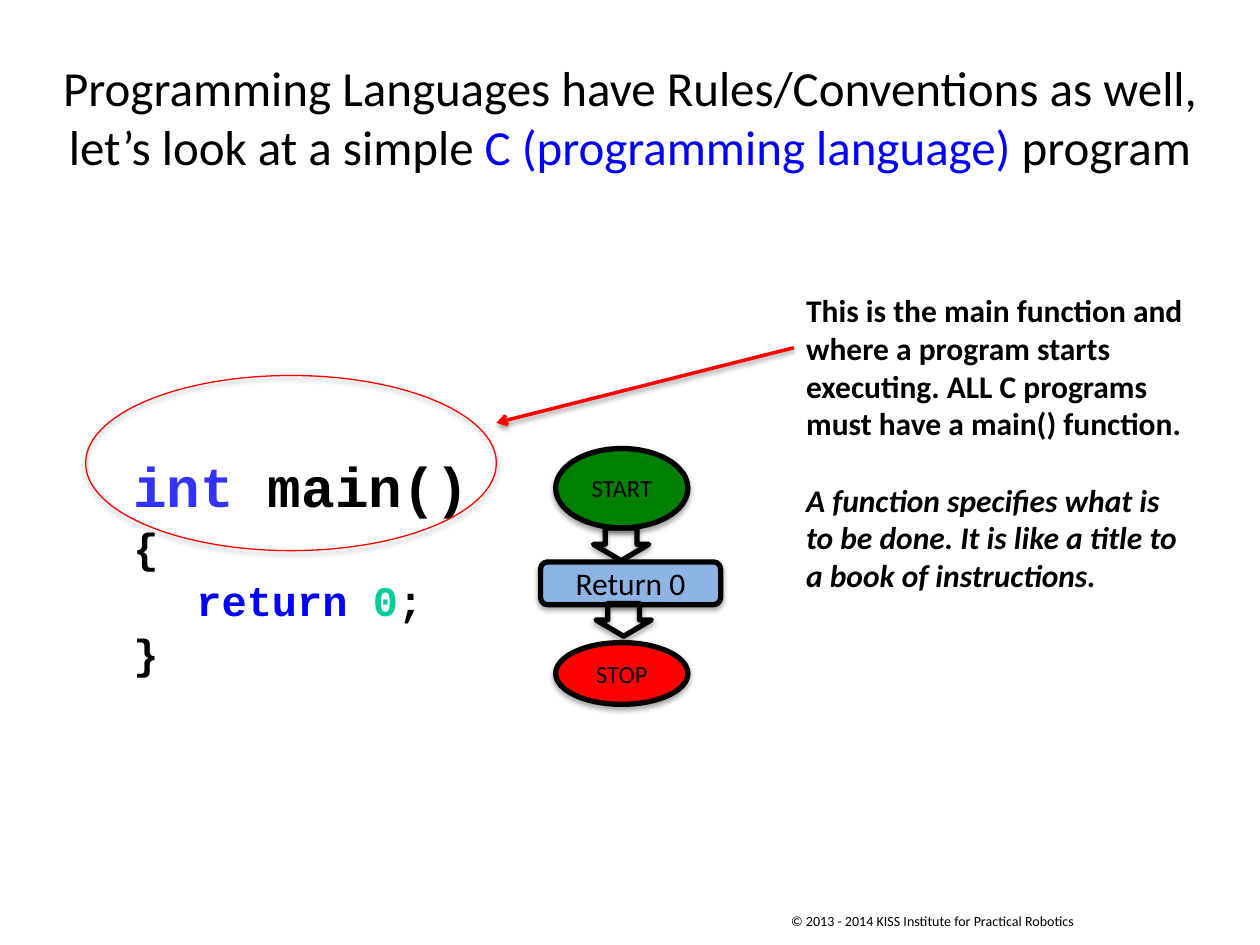
from lxml import etree
from pptx import Presentation
from pptx.dml.color import RGBColor
from pptx.enum.shapes import MSO_CONNECTOR, MSO_SHAPE
from pptx.enum.text import MSO_ANCHOR, PP_ALIGN
from pptx.oxml.ns import qn
from pptx.util import Inches, Pt

OVAL, ROUNDED, DOWN = MSO_SHAPE.OVAL, MSO_SHAPE.ROUNDED_RECTANGLE, MSO_SHAPE.DOWN_ARROW
STRAIGHT = MSO_CONNECTOR.STRAIGHT
MIDDLE, CENTER = MSO_ANCHOR.MIDDLE, PP_ALIGN.CENTER

COLORS = {
    "text": "000000", "language": "0000FF", "type": "3333FF", "number": "00CC99",
    "mark": "FF0000", "start": "008000", "step": "8EB4E3", "stop": "FF0000",
}
COLS, ROWS = 100, 75  # grid of tenths of an inch
CELL = Inches(0.1)


def color(name):
    return RGBColor.from_string(COLORS[name])


def cells(*values):
    return [int(v * CELL) for v in values]


def add_shadow(sp, opacity=35):
    sp_pr = sp._element.spPr
    for old in sp_pr.findall(qn("a:effectLst")):
        sp_pr.remove(old)
    effects = etree.SubElement(sp_pr, qn("a:effectLst"))
    shadow = etree.SubElement(effects, qn("a:outerShdw"), blurRad=str(Pt(3.1)),
                              dist=str(Pt(1.8)), dir="5400000", rotWithShape="0")
    black = etree.SubElement(shadow, qn("a:srgbClr"), val=COLORS["text"])
    etree.SubElement(black, qn("a:alpha"), val=str(opacity * 1000))


def add_text(s, box, wrap=True):
    tf = s.shapes.add_textbox(*cells(*box)).text_frame
    tf.word_wrap = wrap
    return tf


def set_font(p, size, name="Calibri", bold=False, italic=False):
    f = p.font
    f.name, f.size, f.bold, f.italic = name, Pt(size), bold, italic
    f.color.rgb = color("text")


def add_runs(p, runs):
    for text, name in runs:
        r = p.add_run()
        r.text = text
        r.font.color.rgb = color(name)


def add_outlined(s, kind, box, line="text", width=3, fill=None):
    sp = s.shapes.add_shape(kind, *cells(*box))
    if fill:
        sp.fill.solid()
        sp.fill.fore_color.rgb = color(fill)
    else:
        sp.fill.background()
    sp.line.color.rgb = color(line)
    sp.line.width = Pt(width)
    add_shadow(sp)
    return sp


def add_footer(s, box):
    p = add_text(s, box, wrap=False).paragraphs[0]
    p.text = "© 2013 - 2014 KISS Institute for Practical Robotics"
    set_font(p, 8)


def add_title(s, box):
    tf = add_text(s, box)
    tf.vertical_anchor = MIDDLE
    p = tf.paragraphs[0]
    p.alignment = CENTER
    set_font(p, 28)
    add_runs(p, [("Programming Languages have Rules/Conventions as well,", "text")])
    p.add_line_break()
    add_runs(p, [("let’s look at a simple ", "text"),
                 ("C (programming language)", "language"), (" program", "text")])


def add_code(s, box):
    tf = add_text(s, box)
    tf.margin_top = Inches(0.11)
    lines = [
        (32, [("int ", "type"), ("main()", "text")]),
        (24, [("{", "text")]),
        (24, [("\treturn ", "language"), ("0", "number"), (";", "text")]),
        (24, [("}", "text")]),
    ]
    for i, (size, runs) in enumerate(lines):
        p = tf.add_paragraph() if i else tf.paragraphs[0]
        p.line_spacing = 1.05
        tabs = etree.SubElement(p._p.get_or_add_pPr(), qn("a:tabLst"))
        etree.SubElement(tabs, qn("a:tab"), pos=str(Inches(0.5)), algn="l")
        set_font(p, size, "Courier New", bold=True)
        add_runs(p, runs)


def add_highlight(s, box, source):
    """Ring around the box, with an arrow reaching it from the source point."""
    x, y, w, h = box
    add_outlined(s, OVAL, box, line="mark", width=0.75)
    arrow = s.shapes.add_connector(STRAIGHT, *cells(*source, x + w, y + 0.27 * h))
    arrow.line.color.rgb = color("mark")
    arrow.line.width = Pt(2)
    etree.SubElement(arrow.line._get_or_add_ln(), qn("a:tailEnd"), type="arrow")
    add_shadow(arrow, opacity=38)


def add_callout(s, box):
    tf = add_text(s, box)
    p = tf.paragraphs[0]
    p.text = ("This is the main function and where a program starts executing. "
              "ALL C programs must have a main() function.")
    p.space_after = Pt(22)
    set_font(p, 18, bold=True)
    p = tf.add_paragraph()
    p.text = ("A function specifies what is to be done. "
              "It is like a title to a book of instructions.")
    set_font(p, 18, bold=True, italic=True)


def add_flowchart(s, box):
    x, y, w, h = box
    steps = [  # kind, left, top, width, height, fill, label, size
        (OVAL, 1.2, h - 4.9, 10.5, 4.9, "stop", "STOP", 14),
        (OVAL, 1.2, 0, 10.5, 6.3, "start", "START", 14),
        (DOWN, 4.2, 6.3, 4.4, 2.6, None, None, None),
        (ROUNDED, 0, 9, w, 3.4, "step", "Return 0", 18),
        (DOWN, 4.4, 12.3, 4.4, 2.6, None, None, None),
    ]
    for kind, left, top, width, height, fill, label, size in steps:
        sp = add_outlined(s, kind, (x + left, y + top, width, height), fill=fill)
        if kind == DOWN:
            sp.adjustments[0] = 0.57
        if label:
            tf = sp.text_frame
            tf.vertical_anchor = MIDDLE
            p = tf.paragraphs[0]
            p.text = label
            p.alignment = CENTER
            set_font(p, size)


def main():
    prs = Presentation()
    prs.slide_width, prs.slide_height = cells(COLS, ROWS)
    s = prs.slides.add_slide(prs.slide_layouts[6])
    add_footer(s, (61.8, 71.9, 24.9, 2.4))
    add_title(s, (0, 3, COLS, 12.5))
    add_code(s, (9.6, 34.5, 74.5, 18.5))
    add_highlight(s, (6.8, 29.8, 32.6, 13.9), source=(63, 27.6))
    add_callout(s, (63, 22.6, 32, 25.2))
    add_flowchart(s, (42.9, 35.6, 14.3, 20.3))
    prs.save("out.pptx")


if __name__ == "__main__":
    main()
